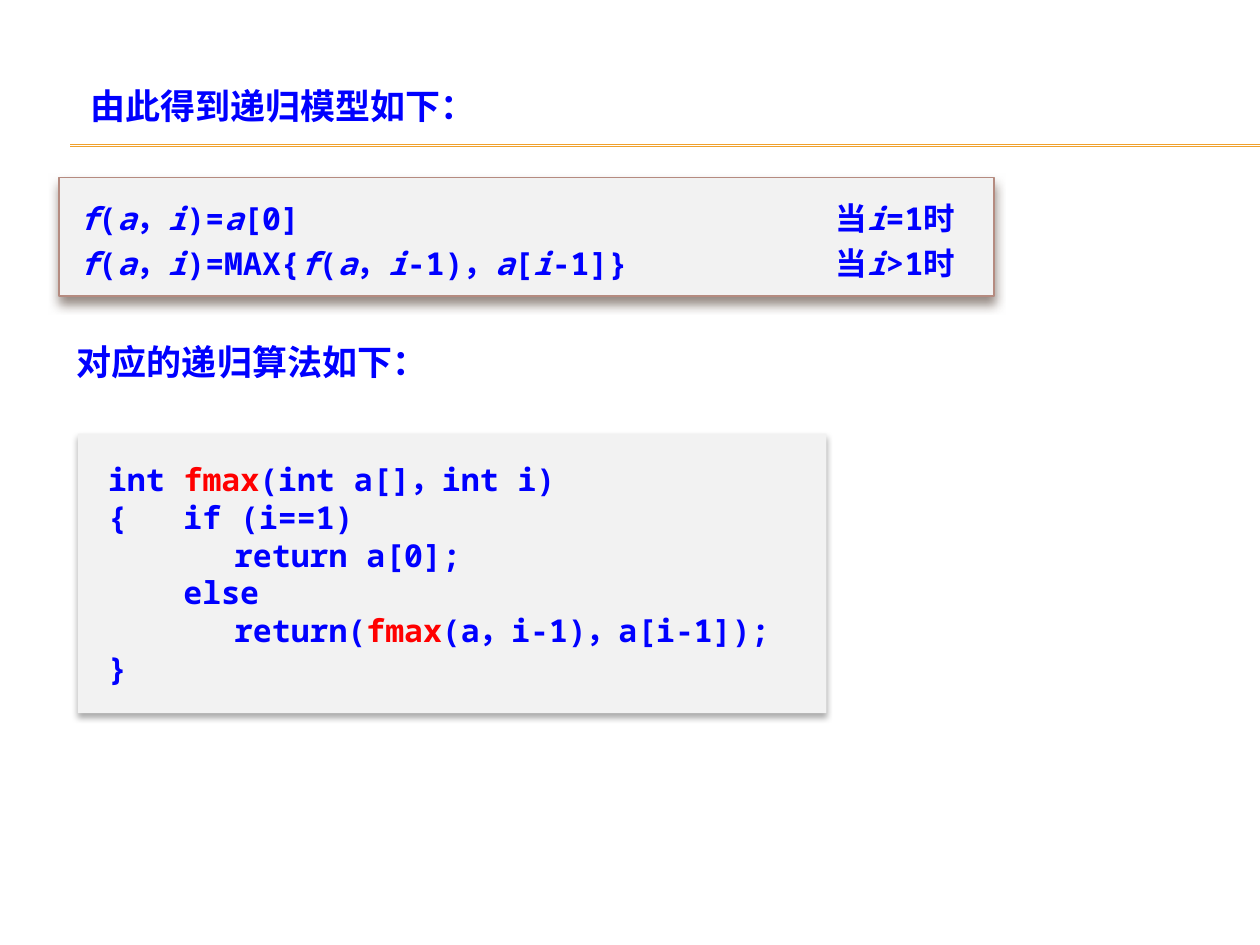
from dataclasses import dataclass

from lxml import etree
from pptx import Presentation
from pptx.dml.color import RGBColor
from pptx.enum.lang import MSO_LANGUAGE_ID
from pptx.enum.shapes import MSO_CONNECTOR, MSO_SHAPE
from pptx.enum.text import MSO_ANCHOR, PP_ALIGN
from pptx.oxml.ns import qn
from pptx.util import Cm, Pt

RECTANGLE = MSO_SHAPE.RECTANGLE
STRAIGHT = MSO_CONNECTOR.STRAIGHT
LEFT = PP_ALIGN.LEFT
TOP, MIDDLE = MSO_ANCHOR.TOP, MSO_ANCHOR.MIDDLE
CHINESE = MSO_LANGUAGE_ID.SIMPLIFIED_CHINESE

COLORS = {
    "text": "0000FF",
    "call": "FF0000",
    "panel": "F2F2F2",
    "border": "B58B80",
    "rule": "F0A22E",
    "warm shadow": "4E3B30",
    "grey shadow": "000000",
}
HEADING = {"name": "Times New Roman", "size": Pt(20), "bold": True}
CODE = {"name": "Noto Sans Mono", "size": Pt(18), "bold": True}
PAGE_WIDTH, PAGE_HEIGHT = 25.4, 19.05


@dataclass
class Shadow:
    color: str
    opacity: int
    blur: float
    distance: float


@dataclass
class Heading:
    place: tuple[float, float, float, float]  # left, top, width, height in cm
    text: str


@dataclass
class Panel:
    place: tuple[float, float, float, float]
    insets: tuple[float, float, float, float]  # left, top, right, bottom in cm
    lines: list[str]  # text between asterisks takes the accent
    tabs: list[float]
    shadow: Shadow
    accent: str
    accent_italic: bool = False
    border: str | None = None
    spacing: float = 1.0


HEADINGS = [
    Heading((1.57, 1.57, 13.49, 1.12), "由此得到递归模型如下："),
    Heading((1.3, 6.73, 13.79, 1.12), "对应的递归算法如下："),
]
PANELS = [
    # Recursive model
    Panel(
        place=(1.19, 3.58, 18.85, 2.39),
        insets=(0.41, 0.3, 0.25, 0.3),
        lines=[
            "*f*(*a*，*i*)=*a*[0]\t当*i*=1时",
            "*f*(*a*，*i*)=MAX{*f*(*a*，*i*-1)，*a*[*i*-1]}\t当*i*>1时",
        ],
        tabs=[15.24],
        shadow=Shadow("warm shadow", 60, 6, 4),
        accent="text",
        accent_italic=True,
        border="border",
        spacing=1.2,
    ),
    # Recursive algorithm
    Panel(
        place=(1.57, 8.74, 15.09, 5.64),
        insets=(0.61, 0.51, 0.25, 0.51),
        lines=[
            "int *fmax*(int a[]，int i)",
            "{\tif (i==1)",
            "\t\treturn a[0];",
            "\telse",
            "\t\treturn(*fmax*(a，i-1)，a[i-1]);",
            "}",
        ],
        tabs=[1.52, 2.54],
        shadow=Shadow("grey shadow", 32, 3.5, 2.2),
        accent="call",
    ),
]


def color(name: str) -> RGBColor:
    return RGBColor.from_string(COLORS[name])


def add_span(para, text: str, style: dict, color_name: str, italic: bool = False) -> None:
    span = para.add_run()
    span.text = text
    for key, value in {**style, "italic": italic, "language_id": CHINESE}.items():
        setattr(span.font, key, value)
    span.font.color.rgb = color(color_name)


def add_tabs(para, stops: list[float]) -> None:
    tab_list = etree.SubElement(para._p.get_or_add_pPr(), qn("a:tabLst"))
    for stop in stops:
        etree.SubElement(tab_list, qn("a:tab"), pos=str(Cm(stop)), algn="l")


def add_shadow(box, shadow: Shadow) -> None:
    box.shadow.inherit = False
    effects = box._element.spPr.find(qn("a:effectLst"))
    outer = etree.SubElement(
        effects, qn("a:outerShdw"), blurRad=str(Pt(shadow.blur)),
        dist=str(Pt(shadow.distance)), dir=str(90 * 60000), rotWithShape="0",
    )
    tint = etree.SubElement(outer, qn("a:srgbClr"), val=COLORS[shadow.color])
    etree.SubElement(tint, qn("a:alpha"), val=str(shadow.opacity * 1000))


def add_rule(page, top: float) -> None:
    rule = page.shapes.add_connector(STRAIGHT, Cm(1.42), Cm(top), Cm(PAGE_WIDTH), Cm(top))
    rule.line.color.rgb = color("rule")
    rule.line.width = Pt(0.75)
    etree.SubElement(rule._element.spPr, qn("a:effectLst"))


def add_heading(page, heading: Heading) -> None:
    box = page.shapes.add_textbox(*map(Cm, heading.place))
    box.text_frame.word_wrap = True
    box.text_frame.vertical_anchor = TOP
    add_span(box.text_frame.paragraphs[0], heading.text, HEADING, "text")


def add_panel(page, panel: Panel) -> None:
    box = page.shapes.add_shape(RECTANGLE, *map(Cm, panel.place))
    box.fill.solid()
    box.fill.fore_color.rgb = color("panel")
    if panel.border:
        box.line.color.rgb = color(panel.border)
        box.line.width = Pt(0.79)
    else:
        box.line.fill.background()
    add_shadow(box, panel.shadow)

    frame = box.text_frame
    sides = ("margin_left", "margin_top", "margin_right", "margin_bottom")
    layout = {**dict(zip(sides, map(Cm, panel.insets))),
              "word_wrap": True, "vertical_anchor": MIDDLE}
    for key, value in layout.items():
        setattr(frame, key, value)

    for number, line in enumerate(panel.lines):
        para = frame.add_paragraph() if number else frame.paragraphs[0]
        para.alignment = LEFT
        para.line_spacing = panel.spacing
        add_tabs(para, panel.tabs)
        for index, part in enumerate(line.split("*")):
            if not part:
                continue
            if index % 2:
                add_span(para, part, CODE, panel.accent, panel.accent_italic)
            else:
                add_span(para, part, CODE, "text")


def main() -> None:
    deck = Presentation()
    deck.slide_width, deck.slide_height = Cm(PAGE_WIDTH), Cm(PAGE_HEIGHT)
    page = deck.slides.add_slide(deck.slide_layouts[6])

    # Double rule under the first heading
    for top in (2.92, 2.95):
        add_rule(page, top)
    for panel in PANELS:
        add_panel(page, panel)
    for heading in HEADINGS:
        add_heading(page, heading)

    deck.save("out.pptx")


if __name__ == "__main__":
    main()
